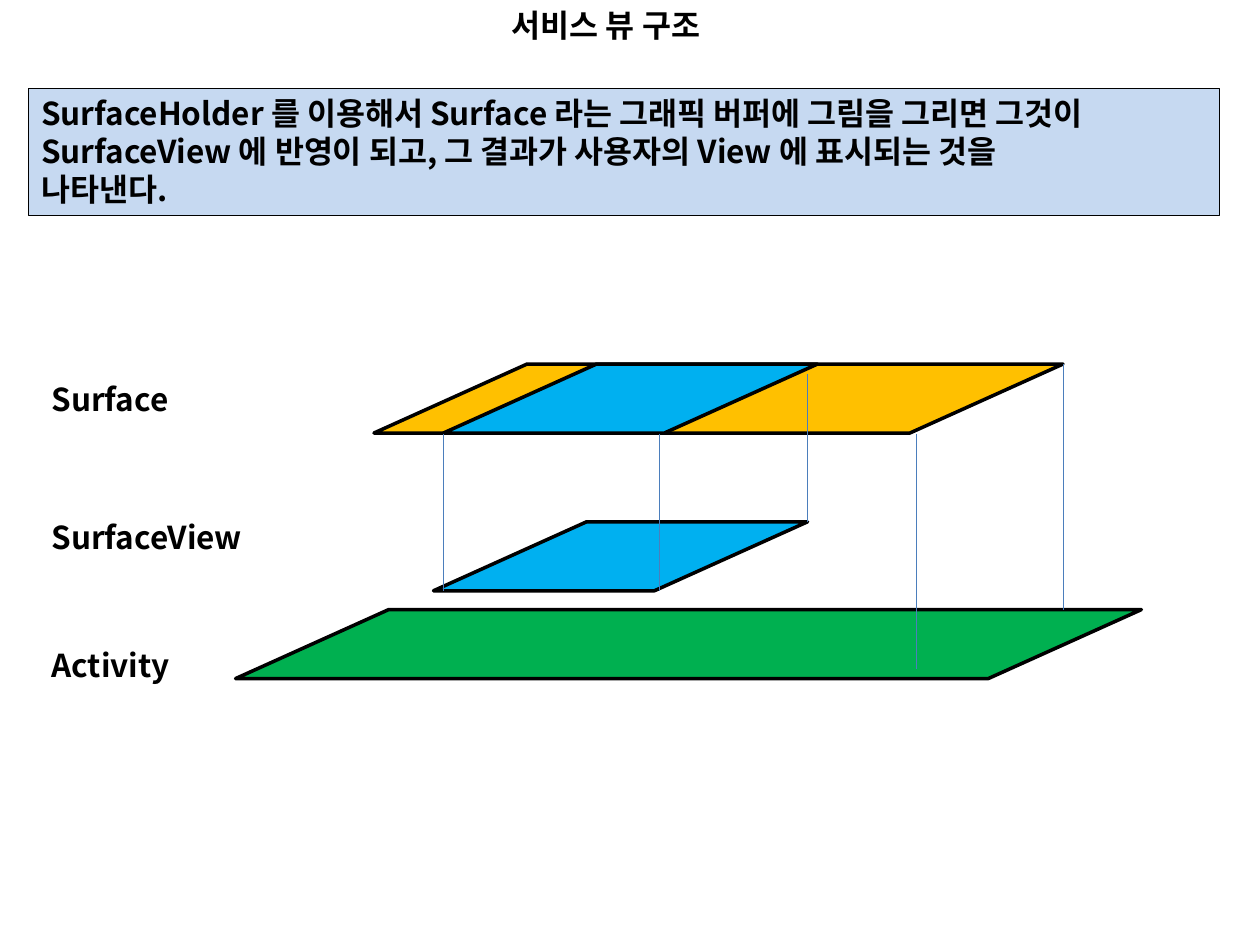
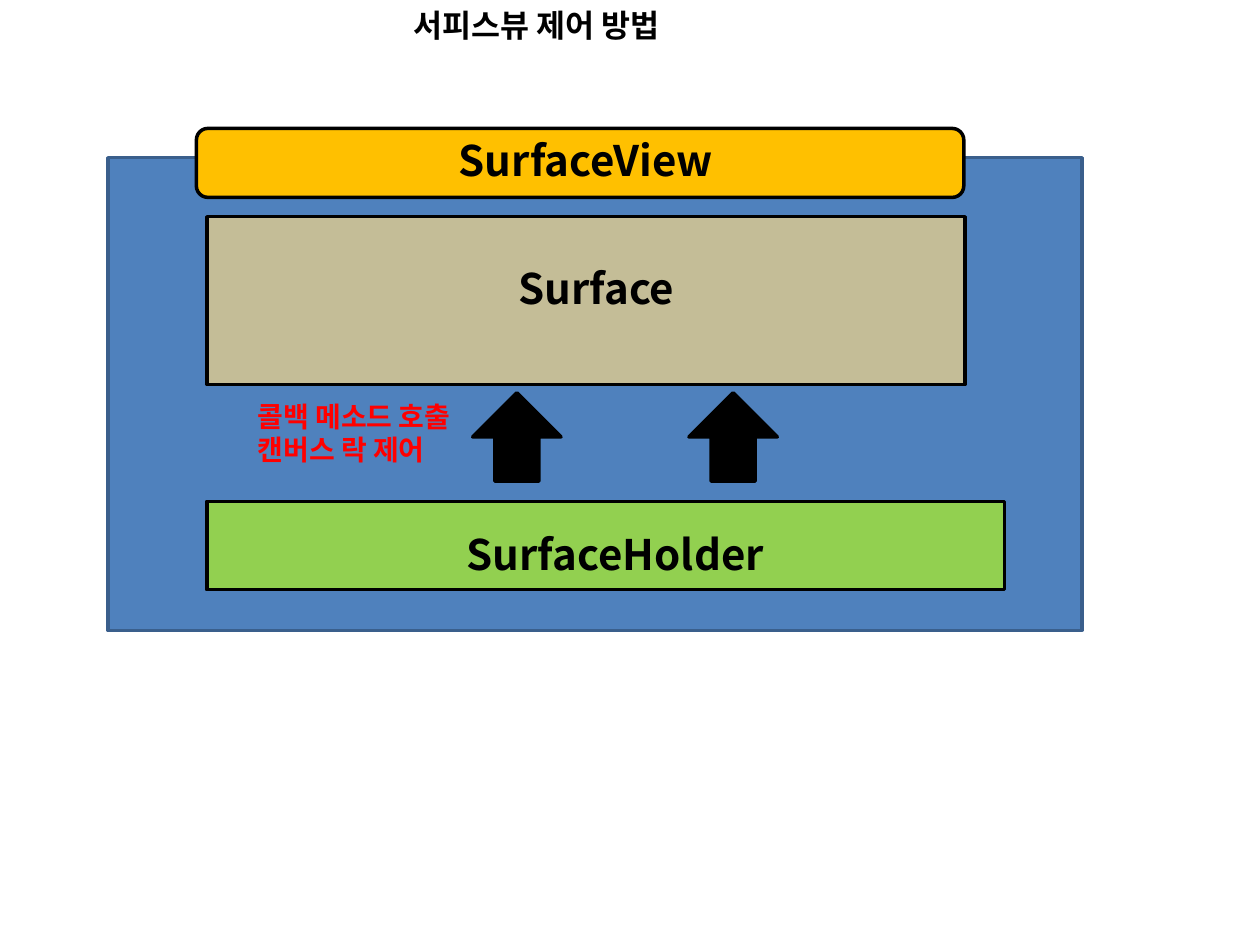
from lxml.etree import SubElement
from pptx import Presentation
from pptx.dml.color import RGBColor
from pptx.enum.shapes import MSO_CONNECTOR as Line, MSO_SHAPE as Preset
from pptx.enum.text import MSO_ANCHOR as Anchor, MSO_AUTO_SIZE as AutoSize, PP_ALIGN as Align
from pptx.oxml.ns import qn
from pptx.util import Cm, Pt

FONT = "Noto Sans CJK KR"
BLACK, RED, AMBER, SKY = "000000", "FF0000", "FFC000", "00B0F0"
GREEN, LIME, KHAKI, PALE = "00B050", "92D050", "C4BD97", "C6D9F1"
STEEL, STEEL_EDGE, GUIDE = "4F81BD", "3A5F8C", "4B7EBC"
TITLE_ONLY = 5
SLANT = 2.22


def rgb(value):
    return RGBColor.from_string(value)


class Deck:
    """Holds the shared style and adds elements, in centimetres, to the current slide."""

    def __init__(self):
        self.presentation = Presentation()
        self.presentation.slide_width = Cm(25.4)
        self.presentation.slide_height = Cm(19.05)
        self.slide = None

    def new_slide(self, heading, left, width):
        layout = self.presentation.slide_layouts[TITLE_ONLY]
        self.slide = self.presentation.slides.add_slide(layout)
        title = self.slide.shapes.title
        title.left, title.top = Cm(left), Cm(0)
        title.width, title.height = Cm(width), Cm(1.02)
        self.set_wording(title, heading, align=Align.CENTER)

    def set_wording(self, holder, wording, size=18, color=BLACK, align=Align.LEFT):
        frame = holder.text_frame
        frame.text = wording
        frame.word_wrap = True
        frame.auto_size = AutoSize.NONE
        frame.vertical_anchor = Anchor.TOP
        for paragraph in frame.paragraphs:
            paragraph.alignment = align
            paragraph.line_spacing = Pt(round(size * 1.2, 1))
            for run in paragraph.runs:
                run.font.name = FONT
                run.font.size = Pt(size)
                run.font.bold = True
                run.font.color.rgb = rgb(color)
                SubElement(run.font._element, qn("a:ea"), typeface=FONT)

    def text(self, wording, left, top, width, height, **style):
        box = self.slide.shapes.add_textbox(Cm(left), Cm(top), Cm(width), Cm(height))
        self.set_wording(box, wording, **style)

    def shape(self, preset, fill, left, top, width, height, edge=BLACK, weight=2):
        figure = self.slide.shapes.add_shape(preset, Cm(left), Cm(top), Cm(width), Cm(height))
        figure.shadow.inherit = False
        figure.fill.solid()
        figure.fill.fore_color.rgb = rgb(fill)
        figure.line.color.rgb = rgb(edge)
        figure.line.width = Pt(weight)
        return figure

    def plane(self, fill, left, top, width):
        sheet = self.shape(Preset.PARALLELOGRAM, fill, left, top, width, 1.39)
        sheet.adjustments[0] = SLANT

    def guide(self, x, top, bottom):
        line = self.slide.shapes.add_connector(Line.STRAIGHT, Cm(x), Cm(top), Cm(x), Cm(bottom))
        line.line.color.rgb = rgb(GUIDE)
        line.line.width = Pt(0.75)
        SubElement(line._element.spPr, qn("a:effectLst"))


def build_structure(deck):
    deck.new_slide("서비스 뷰 구조", 4.57, 15.29)
    summary = deck.shape(Preset.RECTANGLE, PALE, 0.58, 1.78, 24, 2.57, weight=0.75)
    deck.set_wording(summary, "SurfaceHolder 를 이용해서 Surface 라는 그래픽 버퍼에 그림을 그리면 그것이\n"
                              "SurfaceView 에 반영이 되고, 그 결과가 사용자의 View 에 표시되는 것을\n"
                              "나타낸다.")

    surface_top, view_top, activity_top = 7.34, 10.52, 12.29
    deck.plane(AMBER, 7.54, surface_top, 13.89)
    deck.plane(SKY, 8.74, view_top, 7.54)
    deck.plane(SKY, 8.94, surface_top, 7.54)
    deck.plane(GREEN, 4.75, activity_top, 18.26)

    for layer, top in (("Activity", 12.9), ("SurfaceView", 10.31), ("Surface", 7.54)):
        deck.text(layer, 0.79, top, 5.77, 1.02)

    surface_bottom, view_bottom = 8.74, 11.91
    for x, top, bottom in (
        (21.44, surface_top, activity_top),
        (18.47, surface_bottom, 13.49),
        (16.28, 7.54, view_top),
        (13.3, surface_bottom, view_bottom),
        (8.94, surface_bottom, view_bottom),
    ):
        deck.guide(x, top, bottom)


def build_control(deck):
    deck.new_slide("서피스뷰 제어 방법", 2.59, 16.46)
    deck.shape(Preset.RECTANGLE, STEEL, 2.18, 3.18, 19.63, 9.53, edge=STEEL_EDGE)
    deck.shape(Preset.ROUNDED_RECTANGLE, AMBER, 3.96, 2.59, 15.47, 1.39)
    deck.shape(Preset.RECTANGLE, KHAKI, 4.17, 4.37, 15.29, 3.38)
    deck.shape(Preset.RECTANGLE, LIME, 4.17, 10.11, 16.08, 1.78)

    for part, left, top in (
        ("Surface", 6.76, 5.16),
        ("SurfaceView", 6.55, 2.59),
        ("SurfaceHolder", 7.14, 10.52),
    ):
        deck.text(part, left, top, 10.52, 1.27, size=24, align=Align.CENTER)

    for arrow_left in (9.53, 13.89):
        deck.shape(Preset.UP_ARROW, BLACK, arrow_left, 7.92, 1.78, 1.78)
    deck.text("콜백 메소드 호출\n캔버스 락 제어", 4.95, 7.92, 6.15, 2.39, size=16, color=RED)


def main():
    deck = Deck()
    build_structure(deck)
    build_control(deck)
    deck.presentation.save("out.pptx")


if __name__ == "__main__":
    main()
